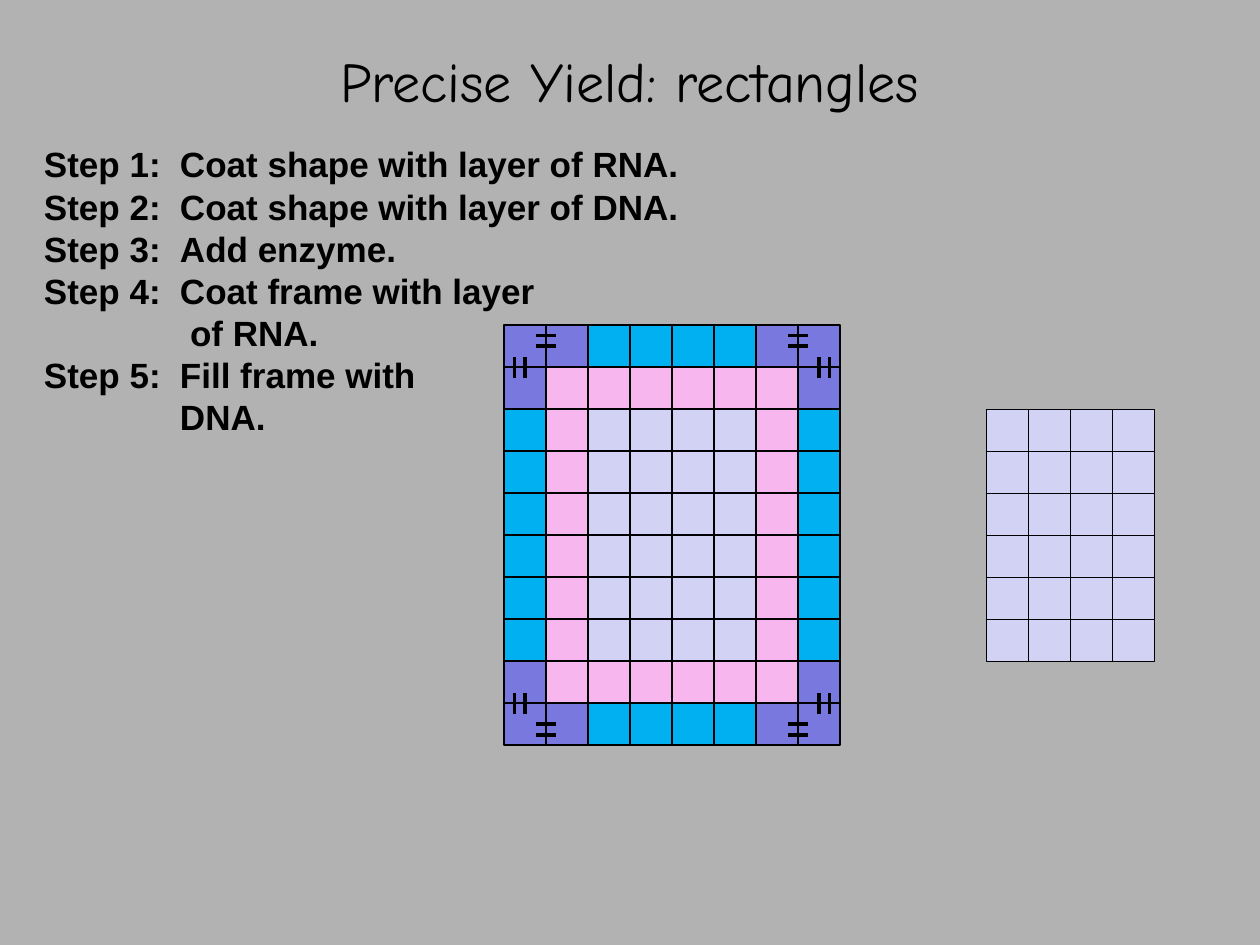
"""Build the slide showing the precise yield of rectangles."""
import itertools

import pptx
import pptx.dml.color
import pptx.enum.shapes
import pptx.enum.text
import pptx.oxml.ns
import pptx.util
from lxml import etree

Inches = pptx.util.Inches
Pt = pptx.util.Pt

COLORS = {
    "background": "B2B2B2",
    "ink": "000000",
    "corner": "7878DE",
    "edge": "00B0F0",
    "coat": "F7B7EE",
    "fill": "D2D2F4",
}
CELL_COLORS = {"C": "corner", "E": "edge", "R": "coat", "D": "fill"}
CELL = 1 / 3

TITLE = "Precise Yield: rectangles"
FIRST_STEP = [("Step 1:\tCoat shape with layer of RNA.", 1.08)]
LATER_STEPS = [
    ("Step 2:\tCoat shape with layer of DNA.", 1.08),
    ("Step 3:\tAdd enzyme.", 1.08),
    ("Step 4:\tCoat frame with layer", 1.08),
    ("of RNA.", 1.16),
    ("Step 5:\tFill frame with", 1.08),
    ("DNA.", 1.08),
]

FRAME = (
    ["CCEEEECC", "CRRRRRRC"]
    + ["ERDDDDRE"] * 6
    + ["CRRRRRRC", "CCEEEECC"]
)
RECTANGLE = ["DDDD"] * 6
FRAME_ORIGIN = (4, 2.58)
RECTANGLE_ORIGIN = (7.83, 3.25)

HORIZONTAL_BONDS = list(itertools.product([1, 7], [0.25, 0.5, 9.5, 9.75]))
VERTICAL_BONDS = list(itertools.product([0.25, 0.5, 7.5, 7.75], [1, 9]))
HALF_BOND = 0.25


def rgb(name):
    return pptx.dml.color.RGBColor.from_string(COLORS[name])


def add_run(paragraph, text, font_name, size, bold=False):
    run = paragraph.add_run()
    run.text = text
    run.font.name = font_name
    run.font.size = Pt(size)
    run.font.bold = bold
    run.font.color.rgb = rgb("ink")


def add_title(slide):
    box = slide.shapes.add_textbox(0, 0, Inches(10), Inches(0.67))
    frame = box.text_frame
    frame.word_wrap = True
    frame.margin_top = Inches(0.37)
    frame.vertical_anchor = pptx.enum.text.MSO_ANCHOR.TOP
    paragraph = frame.paragraphs[0]
    paragraph.alignment = pptx.enum.text.PP_ALIGN.CENTER
    add_run(paragraph, TITLE, "Comic Neue", 32)


def add_steps(slide, steps, top, height):
    box = slide.shapes.add_textbox(
        Inches(0.25), Inches(top), Inches(5.28), Inches(height)
    )
    frame = box.text_frame
    frame.word_wrap = True
    for index, (text, indent) in enumerate(steps):
        paragraph = frame.add_paragraph() if index else frame.paragraphs[0]
        properties = paragraph._p.get_or_add_pPr()
        properties.set("marL", str(Inches(indent)))
        hanging = indent if "\t" in text else 0
        properties.set("indent", str(-Inches(hanging)))
        add_run(paragraph, text, "Arial", 20, bold=True)


def add_cells(slide, rows, origin):
    left, top = origin
    for row, letters in enumerate(rows):
        for column, letter in enumerate(letters):
            cell = slide.shapes.add_shape(
                pptx.enum.shapes.MSO_SHAPE.RECTANGLE,
                Inches(left + column * CELL),
                Inches(top + row * CELL),
                Inches(CELL),
                Inches(CELL),
            )
            cell.shadow.inherit = False
            cell.fill.solid()
            cell.fill.fore_color.rgb = rgb(CELL_COLORS[letter])
            cell.line.color.rgb = rgb("ink")
            cell.line.width = Pt(0.75)


def add_bonds(slide, joints, step_x, step_y):
    left, top = FRAME_ORIGIN
    for (x, y), direction in itertools.product(joints, [-1, 1]):
        bond = slide.shapes.add_connector(
            pptx.enum.shapes.MSO_CONNECTOR.STRAIGHT,
            Inches(left + x * CELL),
            Inches(top + y * CELL),
            Inches(left + (x + direction * step_x) * CELL),
            Inches(top + (y + direction * step_y) * CELL),
        )
        bond.line.color.rgb = rgb("ink")
        bond.line.width = Pt(2.25)
        etree.SubElement(
            bond._element.spPr, pptx.oxml.ns.qn("a:effectLst")
        )


def main():
    presentation = pptx.Presentation()
    presentation.slide_width = Inches(10)
    presentation.slide_height = Inches(7.5)
    slide = presentation.slides.add_slide(presentation.slide_layouts[6])
    slide.background.fill.solid()
    slide.background.fill.fore_color.rgb = rgb("background")

    add_title(slide)
    add_cells(slide, RECTANGLE, RECTANGLE_ORIGIN)
    add_cells(slide, FRAME, FRAME_ORIGIN)
    add_bonds(slide, HORIZONTAL_BONDS, HALF_BOND, 0)
    add_bonds(slide, VERTICAL_BONDS, 0, HALF_BOND)
    add_steps(slide, LATER_STEPS, 1.42, 2.12)
    add_steps(slide, FIRST_STEP, 1.08, 0.44)
    presentation.save("out.pptx")


if __name__ == "__main__":
    main()
